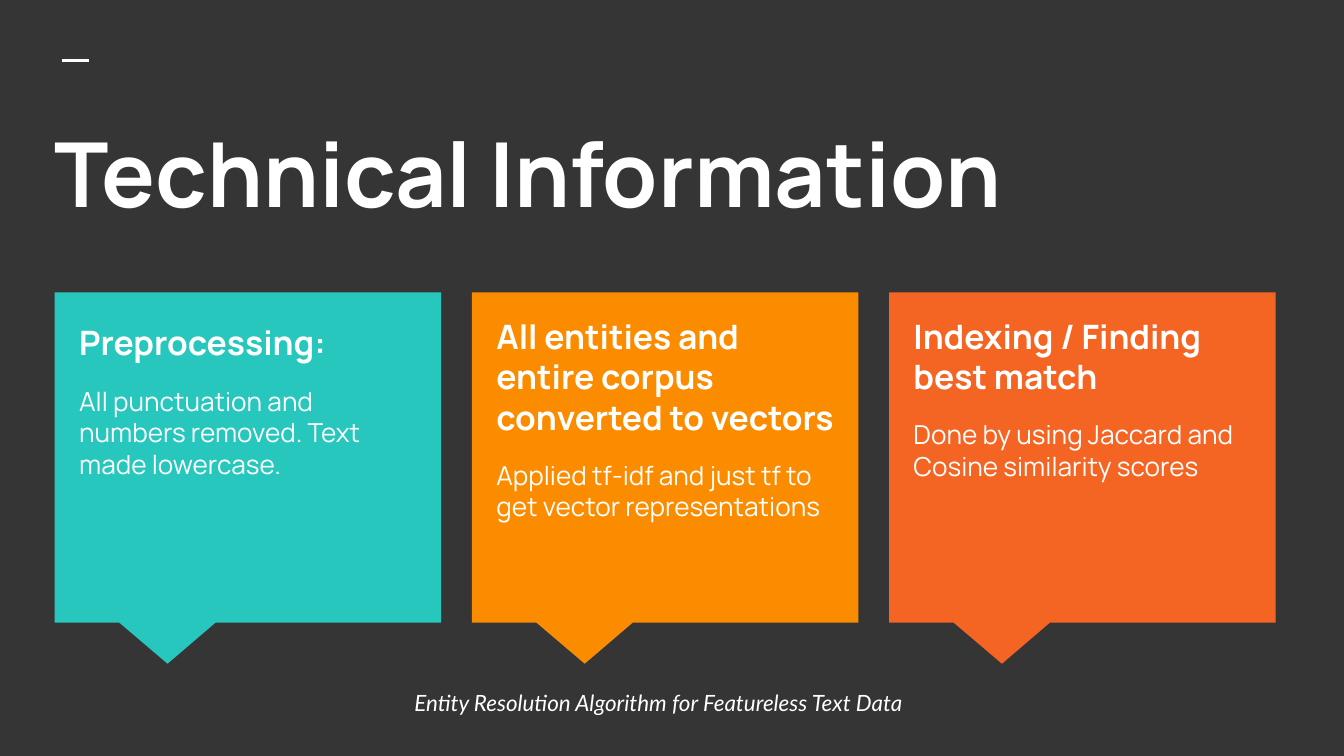
from dataclasses import dataclass

from lxml import etree
from pptx import Presentation
from pptx.dml.color import RGBColor
from pptx.enum.shapes import MSO_CONNECTOR, MSO_SHAPE
from pptx.enum.text import MSO_ANCHOR, PP_ALIGN
from pptx.oxml.ns import qn
from pptx.slide import Slide
from pptx.text.text import TextFrame
from pptx.util import Pt

STRAIGHT = MSO_CONNECTOR.STRAIGHT
CALLOUT = MSO_SHAPE.RECTANGULAR_CALLOUT
TOP, MIDDLE = MSO_ANCHOR.TOP, MSO_ANCHOR.MIDDLE
CENTER = PP_ALIGN.CENTER

WHITE = RGBColor(0xFF, 0xFF, 0xFF)
CHARCOAL = RGBColor(0x35, 0x35, 0x35)
TEAL = RGBColor(0x27, 0xC7, 0xBD)
AMBER = RGBColor(0xFB, 0x8C, 0x00)
ORANGE = RGBColor(0xF4, 0x65, 0x24)

TITLE = {"name": "Manrope", "size": Pt(48), "bold": True}
HEADING = {"name": "Manrope", "size": Pt(18), "bold": True}
HEADING_END = {"name": "Manrope", "size": Pt(21), "bold": True}
BODY = {"name": "Manrope", "size": Pt(14), "bold": False}
FOOTER = {"name": "Lato", "size": Pt(12), "italic": True}

CARD_LEFT, CARD_TOP, CARD_PITCH = 29.3, 156.7, 223.5
CARD_WIDTH, CARD_HEIGHT = 207, 176.8
TEXT_OFFSET_X, TEXT_OFFSET_Y = 6, 5.3
TEXT_WIDTH, TEXT_HEIGHT = 195, 157.7
POINTER = (-0.208, 0.625)


@dataclass(frozen=True)
class Card:
    heading: str
    body: str
    color: RGBColor
    heading_end: str = ""


CARDS = (
    Card("Preprocessing:",
         "All punctuation and numbers removed. Text made lowercase.",
         TEAL, heading_end=" "),
    Card("All entities and entire corpus converted to vectors",
         "Applied tf-idf and just tf to get vector representations", AMBER),
    Card("Indexing / Finding best match",
         "Done by using Jaccard and Cosine similarity scores", ORANGE),
)


def add_run(paragraph, text: str, font_format: dict) -> None:
    run = paragraph.add_run()
    run.text = text
    run.font.color.rgb = WHITE
    for attribute, value in font_format.items():
        setattr(run.font, attribute, value)


def add_text_frame(slide: Slide, left: float, top: float, width: float,
                   height: float, anchor: MSO_ANCHOR = TOP) -> TextFrame:
    """Add a wrapping text box with equal insets and return its frame."""
    box = slide.shapes.add_textbox(Pt(left), Pt(top), Pt(width), Pt(height))
    frame = box.text_frame
    settings = {"word_wrap": True, "vertical_anchor": anchor}
    for side in ("left", "top", "right", "bottom"):
        settings[f"margin_{side}"] = Pt(7.2)
    for attribute, value in settings.items():
        setattr(frame, attribute, value)
    return frame


def add_accent_line(slide: Slide) -> None:
    line = slide.shapes.add_connector(
        STRAIGHT, Pt(33.5), Pt(32.5), Pt(47.9), Pt(32.5))
    line.line.color.rgb = WHITE
    line.line.width = Pt(1.5)
    etree.SubElement(line._element.spPr, qn("a:effectLst"))


def add_card(slide: Slide, card: Card, left: float) -> None:
    shape = slide.shapes.add_shape(
        CALLOUT, Pt(left), Pt(CARD_TOP), Pt(CARD_WIDTH), Pt(CARD_HEIGHT))
    for index, value in enumerate(POINTER):
        shape.adjustments[index] = value
    shape.shadow.inherit = False
    shape.fill.solid()
    shape.fill.fore_color.rgb = card.color
    shape.line.fill.background()

    frame = add_text_frame(slide, left + TEXT_OFFSET_X,
                           CARD_TOP + TEXT_OFFSET_Y, TEXT_WIDTH, TEXT_HEIGHT)
    heading = frame.paragraphs[0]
    add_run(heading, card.heading, HEADING)
    if card.heading_end:
        add_run(heading, card.heading_end, HEADING_END)
    body = frame.add_paragraph()
    body.space_before = body.space_after = Pt(12)
    add_run(body, card.body, BODY)


def main() -> None:
    presentation = Presentation()
    presentation.slide_width = Pt(720)
    presentation.slide_height = Pt(405)
    slide = presentation.slides.add_slide(presentation.slide_layouts[6])
    slide.background.fill.solid()
    slide.background.fill.fore_color.rgb = CHARCOAL

    add_accent_line(slide)
    title = add_text_frame(slide, 22.3, 56.2, 679, 80.6)
    add_run(title.paragraphs[0], "Technical Information", TITLE)

    for index, card in enumerate(CARDS):
        add_card(slide, card, CARD_LEFT + index * CARD_PITCH)

    footer = add_text_frame(slide, 22.3, 366.5, 661, 20.2, MIDDLE)
    footer.paragraphs[0].alignment = CENTER
    add_run(footer.paragraphs[0],
            "Entity Resolution Algorithm for Featureless Text Data", FOOTER)

    presentation.save("out.pptx")


if __name__ == "__main__":
    main()
